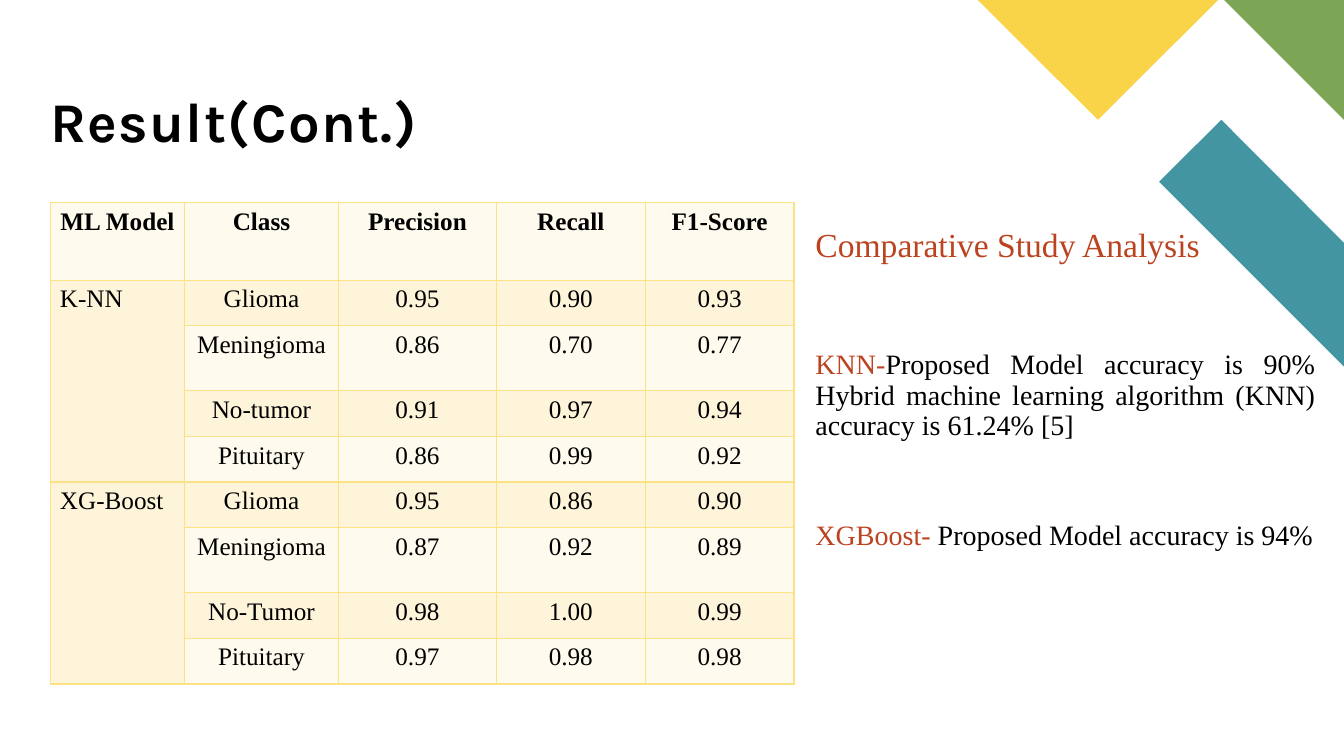
from dataclasses import dataclass
from typing import Optional

from lxml import etree
from pptx import Presentation
from pptx.dml.color import RGBColor
from pptx.enum.text import MSO_ANCHOR, PP_ALIGN
from pptx.oxml.ns import qn
from pptx.util import Cm, Pt

CENTER, LEFT, JUSTIFY = PP_ALIGN.CENTER, PP_ALIGN.LEFT, PP_ALIGN.JUSTIFY
TOP, BOTTOM = MSO_ANCHOR.TOP, MSO_ANCHOR.BOTTOM
SERIF, DISPLAY = "Times New Roman", "Karla"
COLORS = {
    "teal": "4495A2", "green": "7CA655", "yellow": "F9D448",
    "text": "000000", "accent": "BB431F",
    "border": "FBE284", "light": "FEFAED", "band": "FDF4D9",
}


@dataclass
class Ribbon:
    color: str
    points: list[tuple[float, float]]


@dataclass
class TextRun:
    text: str
    size: float
    color: str = "text"
    font: str = SERIF
    bold: bool = False
    spacing: Optional[int] = None


@dataclass
class TextParagraph:
    runs: list[TextRun]
    align: PP_ALIGN = LEFT
    line_spacing: float = 1.0
    space_before: float = 0


@dataclass
class ModelResult:
    name: str
    scores: list[tuple[str, str, str, str]]


RIBBONS = [
    Ribbon("teal", [(33.87, 9.24), (33.87, 6.12), (30.78, 3.02), (29.21, 4.58)]),
    Ribbon("green", [(33.87, 3.02), (33.87, 0), (30.85, 0)]),
    Ribbon("yellow", [(24.64, 0), (27.67, 3.02), (30.7, 0)]),
]
HEADERS = ["ML Model", "Class", "Precision", "Recall", "F1-Score"]
RESULTS = [
    ModelResult("K-NN", [
        ("Glioma", "0.95", "0.90", "0.93"),
        ("Meningioma", "0.86", "0.70", "0.77"),
        ("No-tumor", "0.91", "0.97", "0.94"),
        ("Pituitary", "0.86", "0.99", "0.92"),
    ]),
    ModelResult("XG-Boost", [
        ("Glioma", "0.95", "0.86", "0.90"),
        ("Meningioma", "0.87", "0.92", "0.89"),
        ("No-Tumor", "0.98", "1.00", "0.99"),
        ("Pituitary", "0.97", "0.98", "0.98"),
    ]),
]
COLUMN_WIDTHS = [3.38, 3.88, 3.98, 3.75, 3.75]
HEADER_HEIGHT = 1.96
MODEL_ROW_HEIGHTS = [1.15, 1.64, 1.15, 1.15]
TITLE = [TextParagraph([TextRun("Result(Cont.)", 40, font=DISPLAY, bold=True, spacing=100)],
                       line_spacing=0.8)]
ANALYSIS = [
    TextParagraph([TextRun("Comparative Study Analysis", 24, "accent")], JUSTIFY, 0.9),
    TextParagraph([
        TextRun("KNN-", 20, "accent"),
        TextRun("Proposed Model accuracy is 90% Hybrid machine learning algorithm (KNN) "
                "accuracy is 61.24% [5]", 20),
    ], JUSTIFY, 0.9, 61),
    TextParagraph([
        TextRun("XGBoost-", 20, "accent"),
        TextRun(" Proposed Model accuracy is 94%", 20),
    ], JUSTIFY, 0.9, 57),
]


def rgb(name: str) -> RGBColor:
    return RGBColor.from_string(COLORS[name])


def draw_ribbon(slide, ribbon: Ribbon) -> None:
    points = [(Cm(x), Cm(y)) for x, y in ribbon.points]
    builder = slide.shapes.build_freeform(*points[0], scale=1.0)
    builder.add_line_segments(points[1:], close=True)
    shape = builder.convert_to_shape()
    shape.shadow.inherit = False
    shape.fill.solid()
    shape.fill.fore_color.rgb = rgb(ribbon.color)
    shape.line.fill.background()


def write_text(frame, paragraphs: list[TextParagraph]) -> None:
    for index, item in enumerate(paragraphs):
        paragraph = frame.add_paragraph() if index else frame.paragraphs[0]
        paragraph.alignment = item.align
        paragraph.line_spacing = item.line_spacing
        paragraph.space_before = Pt(item.space_before)
        for text_run in item.runs:
            run = paragraph.add_run()
            run.text = text_run.text
            run.font.name = text_run.font
            run.font.size = Pt(text_run.size)
            run.font.bold = text_run.bold
            run.font.color.rgb = rgb(text_run.color)
            if text_run.spacing is not None:
                run.font._element.set("spc", str(text_run.spacing))


def draw_text(slide, box: tuple[float, float, float, float],
              paragraphs: list[TextParagraph], anchor: MSO_ANCHOR, top_margin: float) -> None:
    frame = slide.shapes.add_textbox(*(Cm(length) for length in box)).text_frame
    frame.word_wrap = True
    frame.vertical_anchor = anchor
    frame.margin_left = frame.margin_right = frame.margin_bottom = 0
    frame.margin_top = Cm(top_margin)
    write_text(frame, paragraphs)


def style_cell(cell, fill: str) -> None:
    cell.margin_left = cell.margin_right = Cm(0.24)
    cell.margin_top = cell.margin_bottom = Cm(0.13)
    cell.vertical_anchor = TOP
    cell.fill.solid()
    cell.fill.fore_color.rgb = rgb(fill)
    properties = cell._tc.get_or_add_tcPr()
    for position, side in enumerate(("lnL", "lnR", "lnT", "lnB")):
        line = etree.Element(qn(f"a:{side}"), w=str(Pt(1)))
        solid = etree.SubElement(line, qn("a:solidFill"))
        etree.SubElement(solid, qn("a:srgbClr"), val=COLORS["border"])
        properties.insert(position, line)


def write_cell(cell, text: str, align: PP_ALIGN = CENTER, bold: bool = False) -> None:
    write_text(cell.text_frame, [TextParagraph([TextRun(text, 18, bold=bold)], align)])


def draw_results(slide) -> None:
    heights = [HEADER_HEIGHT] + MODEL_ROW_HEIGHTS * len(RESULTS)
    table = slide.shapes.add_table(
        len(heights), len(HEADERS), Cm(1.27), Cm(5.1),
        Cm(sum(COLUMN_WIDTHS)), Cm(sum(heights))).table
    table.first_row = table.horz_banding = False
    for column, width in zip(table.columns, COLUMN_WIDTHS):
        column.width = Cm(width)
    for row_index, height in enumerate(heights):
        table.rows[row_index].height = Cm(height)
        for column_index in range(len(HEADERS)):
            banded = row_index > 0 and (column_index == 0 or row_index % 2 == 1)
            style_cell(table.cell(row_index, column_index), "band" if banded else "light")
    for column_index, header in enumerate(HEADERS):
        write_cell(table.cell(0, column_index), header, bold=True)
    first_row = 1
    for result in RESULTS:
        last_row = first_row + len(result.scores) - 1
        name_cell = table.cell(first_row, 0)
        name_cell.merge(table.cell(last_row, 0))
        write_cell(name_cell, result.name, LEFT)
        for row_index, scores in enumerate(result.scores, first_row):
            for column_index, value in enumerate(scores, 1):
                write_cell(table.cell(row_index, column_index), value)
        first_row = last_row + 1


def main() -> None:
    presentation = Presentation()
    presentation.slide_width, presentation.slide_height = Cm(33.87), Cm(19.05)
    slide = presentation.slides.add_slide(presentation.slide_layouts[6])
    for ribbon in RIBBONS:
        draw_ribbon(slide, ribbon)
    draw_text(slide, (1.27, 1.85, 27.15, 2.01), TITLE, BOTTOM, 0)
    draw_results(slide)
    draw_text(slide, (20.55, 5.64, 12.6, 11.07), ANALYSIS, TOP, 0.13)
    presentation.save("out.pptx")


if __name__ == "__main__":
    main()
